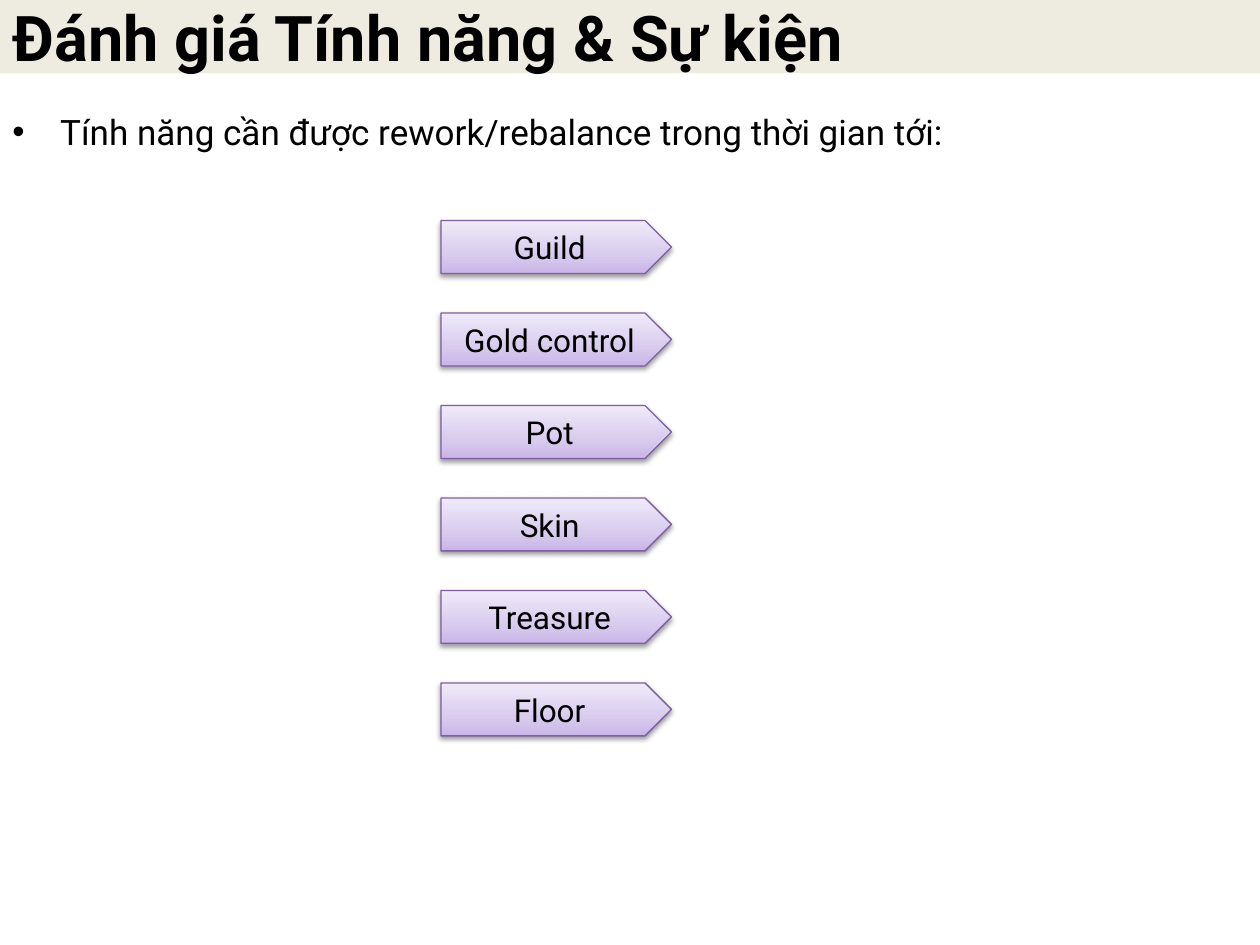
from dataclasses import dataclass

from lxml.etree import SubElement
from pptx import Presentation
from pptx.dml.color import RGBColor
from pptx.enum.shapes import MSO_SHAPE
from pptx.enum.text import MSO_ANCHOR, MSO_AUTO_SIZE, PP_ALIGN
from pptx.oxml.ns import qn
from pptx.util import Inches, Pt


@dataclass(frozen=True)
class Theme:
    font: str = "Roboto"
    ink: str = "000000"
    band: str = "EEECE1"
    edge: str = "7D60A0"
    stops: tuple = ((0, "C9B5E8"), (35, "D8CBEE"), (100, "F0EAF9"))
    title: int = 36
    body: int = 20
    label: int = 18


THEME = Theme()
FEATURES = ("Guild", "Gold control", "Pot", "Skin", "Treasure", "Floor")
LEFT, TOP, WIDTH, HEIGHT, PITCH = 3.5, 1.75, 1.83, 0.42, 0.734


def color(code):
    return RGBColor.from_string(code)


def place(shape, left, top, width, height):
    shape.left, shape.top = Inches(left), Inches(top)
    shape.width, shape.height = Inches(width), Inches(height)


def write(shape, text, size, align, anchor, bold=False):
    frame = shape.text_frame
    frame.text = text
    frame.word_wrap = True
    frame.auto_size = MSO_AUTO_SIZE.NONE
    frame.vertical_anchor = anchor
    para = frame.paragraphs[0]
    para.alignment = align
    font = para.runs[0].font
    font.name, font.size, font.bold = THEME.font, Pt(size), bold
    font.color.rgb = color(THEME.ink)
    return para


def add_title(slide, text):
    title = slide.shapes.title
    place(title, 0, 0, 10, 0.58)
    title.fill.solid()
    title.fill.fore_color.rgb = color(THEME.band)
    write(title, text, THEME.title, PP_ALIGN.LEFT, MSO_ANCHOR.MIDDLE, True)


def add_bullet(slide, text):
    box = slide.shapes.add_textbox(
        Inches(0), Inches(0.83), Inches(10), Inches(6.25))
    para = write(box, text, THEME.body, PP_ALIGN.LEFT, MSO_ANCHOR.TOP)
    para.space_before = Pt(4)
    props = para._p.get_or_add_pPr()
    props.set("marL", str(Inches(0.38)))
    props.set("indent", str(Inches(-0.38)))
    SubElement(props, qn("a:buFont"), typeface="Arial")
    SubElement(props, qn("a:buChar"), char="•")


def shade(shape):
    """Fill with the theme's gradient, dark at the foot."""
    shape.fill.gradient()
    shape.fill.gradient_angle = 90
    stops = shape._element.spPr.find(".//" + qn("a:gsLst"))
    stops.clear()
    for pos, code in THEME.stops:
        stop = SubElement(stops, qn("a:gs"), pos=str(pos * 1000))
        SubElement(stop, qn("a:srgbClr"), val=code)


def add_shadow(shape):
    shape.shadow.inherit = False
    effects = shape._element.spPr.find(qn("a:effectLst"))
    outer = SubElement(
        effects, qn("a:outerShdw"), blurRad=str(Pt(3.1)),
        dist=str(Pt(1.6)), dir="5400000", rotWithShape="0")
    tint = SubElement(outer, qn("a:srgbClr"), val=THEME.ink)
    SubElement(tint, qn("a:alpha"), val="38000")


def add_tag(slide, text, top):
    tag = slide.shapes.add_shape(
        MSO_SHAPE.PENTAGON, Inches(LEFT), Inches(top),
        Inches(WIDTH), Inches(HEIGHT))
    shade(tag)
    tag.line.color.rgb = color(THEME.edge)
    tag.line.width = Pt(0.75)
    add_shadow(tag)
    write(tag, text, THEME.label, PP_ALIGN.CENTER, MSO_ANCHOR.MIDDLE)


def main():
    deck = Presentation()
    deck.slide_width, deck.slide_height = Inches(10), Inches(7.5)
    slide = deck.slides.add_slide(deck.slide_layouts[5])
    add_title(slide, "Đánh giá Tính năng & Sự kiện")
    add_bullet(slide, "Tính năng cần được rework/rebalance trong thời gian tới:")
    for row, name in enumerate(FEATURES):
        add_tag(slide, name, TOP + row * PITCH)
    deck.save("out.pptx")


if __name__ == "__main__":
    main()
